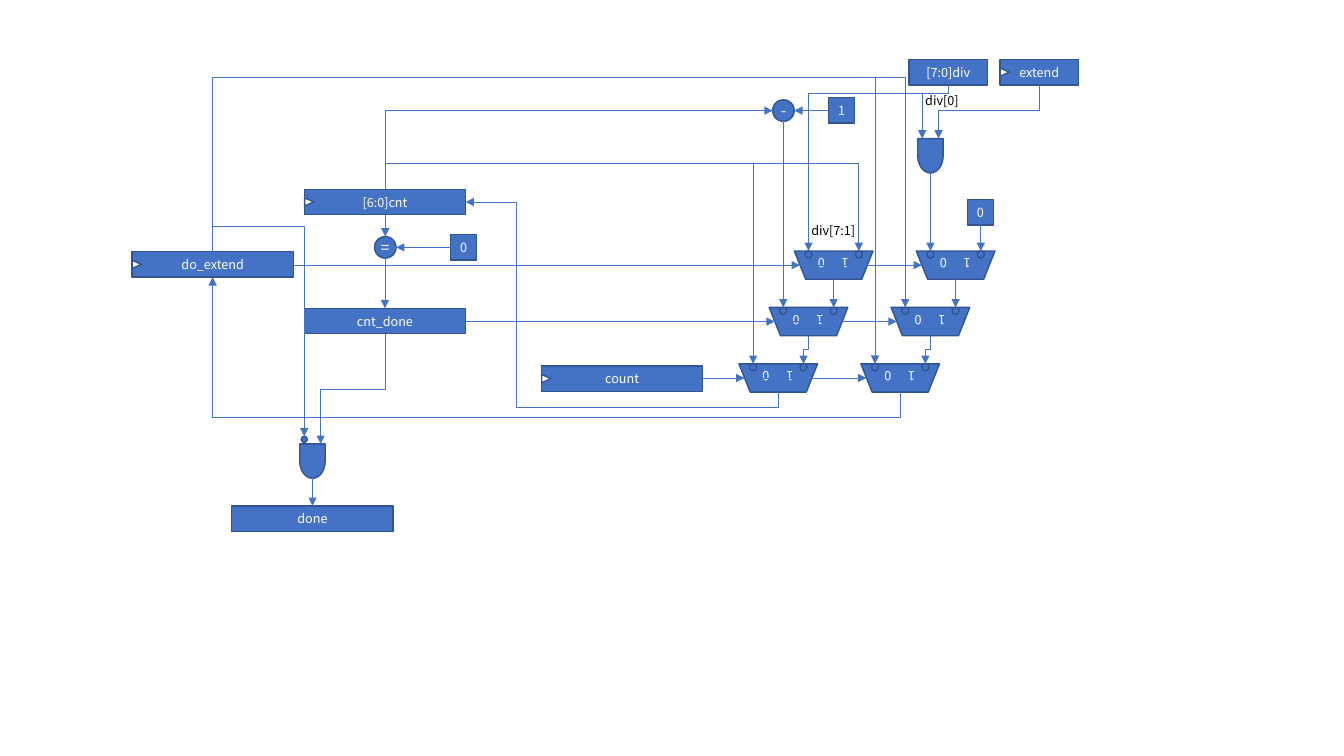
from dataclasses import dataclass

from lxml.etree import SubElement
from pptx import Presentation
from pptx.dml.color import RGBColor
from pptx.enum.shapes import MSO_CONNECTOR as Connector, MSO_SHAPE as Shape
from pptx.enum.text import MSO_ANCHOR as Anchor, PP_ALIGN as Align
from pptx.oxml.ns import qn
from pptx.util import Pt

FONT = "Noto Sans CJK KR"
BLUE, EDGE, WHITE, BLACK = "4472C4", "325491", "FFFFFF", "000000"
REGISTER_WIDTH, INPUT_WIDTH, HEIGHT = 115.2, 56.2, 18.2
MUX_WIDTH, MUX_HEIGHT = 56.2, 20.2
PORT_OFFSETS = (10.1, 46.1)


@dataclass
class Part:
    x: float
    y: float
    width: float
    height: float

    @property
    def top(self):
        return self.x + self.width / 2, self.y

    @property
    def bottom(self):
        return self.x + self.width / 2, self.y + self.height

    @property
    def left(self):
        return self.x, self.y + self.height / 2

    @property
    def right(self):
        return self.x + self.width, self.y + self.height / 2

    @property
    def select(self):
        return self.x + 4, self.y + self.height / 2

    def port(self, index):
        return self.x + PORT_OFFSETS[index], self.y


def paint(color_format, color):
    color_format.rgb = RGBColor.from_string(color)


def add_text(shape, text, size=9, color=WHITE, align=Align.CENTER, inset=0):
    frame = shape.text_frame
    frame.word_wrap = True
    frame.vertical_anchor = Anchor.MIDDLE
    frame.margin_top = frame.margin_bottom = frame.margin_right = 0
    frame.margin_left = Pt(inset)
    paragraph = frame.paragraphs[0]
    paragraph.alignment = align
    run = paragraph.add_run()
    run.text = text
    run.font.name = FONT
    run.font.size = Pt(size)
    paint(run.font.color, color)
    return paragraph


def add_block(slide, kind, x, y, width, height, fill=BLUE, rotation=0):
    shape = slide.shapes.add_shape(kind, Pt(x), Pt(y), Pt(width), Pt(height))
    shape.shadow.inherit = False
    shape.fill.solid()
    paint(shape.fill.fore_color, fill)
    paint(shape.line.color, EDGE)
    shape.line.width = Pt(1)
    shape.rotation = rotation
    return shape


def register(slide, x, y, name, width=REGISTER_WIDTH, clocked=False):
    add_text(add_block(slide, Shape.RECTANGLE, x, y, width, HEIGHT), name)
    if clocked:
        add_block(slide, Shape.ISOSCELES_TRIANGLE, x + 0.5, y + 5.8, 5.8, 6.5, WHITE, 90)
    return Part(x, y, width, HEIGHT)


def constant(slide, x, y, digit):
    return register(slide, x, y, digit, 18.7)


def operator(slide, x, y, sign):
    add_text(add_block(slide, Shape.OVAL, x, y, 15.4, 15.4), sign, 11)
    return Part(x, y, 15.4, 15.4)


def and_gate(slide, x, y, inverted=False):
    width, height = 18.2, 24.6
    if inverted:
        add_block(slide, Shape.OVAL, x + 1.1, y - 5.4, 4.3, 4.3)
    add_block(slide, Shape.FLOWCHART_DELAY, x + (width - height) / 2,
              y + (height - width) / 2, height, width, rotation=90)
    return Part(x, y, width, height)


def mux(slide, x, y):
    shape = add_block(slide, Shape.TRAPEZOID, x, y, MUX_WIDTH, MUX_HEIGHT, rotation=180)
    shape.adjustments[0] = 0.4
    paragraph = add_text(shape, "1\t0", align=Align.LEFT, inset=12)
    tabs = SubElement(paragraph._p.get_or_add_pPr(), qn("a:tabLst"))
    SubElement(tabs, qn("a:tab"), pos=str(Pt(17)), algn="l")
    for offset in PORT_OFFSETS:
        add_block(slide, Shape.OVAL, x + offset - 2.5, y, 5, 5)
    return Part(x, y, MUX_WIDTH, MUX_HEIGHT)


def mux_column(slide, x, y):
    return [mux(slide, x + shift, y + row * 40.3)
            for row, shift in enumerate((39.6, 21.6, 0))]


def label(slide, x, y, text):
    box = slide.shapes.add_textbox(Pt(x), Pt(y), Pt(56.2), Pt(18))
    add_text(box, text, color=BLACK, align=Align.LEFT, inset=7.2)


def wire(slide, start, end, bend=None, return_x=None):
    (x1, y1), (x2, y2) = start, end
    dx, dy = x2 - x1, y2 - y1
    if bend is None:
        x1, y1 = (x2, y1) if abs(dx) < abs(dy) else (x1, y2)
        connector = slide.shapes.add_connector(
            Connector.STRAIGHT, Pt(x1), Pt(y1), Pt(x2), Pt(y2))
    else:
        middle_x, middle_y = (x1 + x2) / 2, (y1 + y2) / 2
        turn = -1 if dx > 0 and dy > 0 else 1
        half_u, half_v = turn * dy / 2, turn * dx / 2
        connector = slide.shapes.add_connector(
            Connector.ELBOW, Pt(middle_x - half_u), Pt(middle_y + half_v),
            Pt(middle_x + half_u), Pt(middle_y - half_v))
        properties = connector._element.spPr
        properties.find(qn("a:xfrm")).set("rot", str(turn * 5400000 % 21600000))
        geometry = properties.find(qn("a:prstGeom"))
        ratios = [] if bend == y2 else [(bend - y1) / dy]
        if return_x is not None:
            ratios.append((return_x - x1) / dx)
        geometry.set("prst", f"bentConnector{len(ratios) + 2}")
        for number, ratio in enumerate(ratios, 1):
            SubElement(geometry.find(qn("a:avLst")), qn("a:gd"),
                       name=f"adj{number}", fmla=f"val {round(ratio * 100000)}")
    paint(connector.line.color, BLUE)
    connector.line.width = Pt(0.5)
    SubElement(connector.line._get_or_add_ln(), qn("a:tailEnd"), type="triangle")
    SubElement(connector._element.spPr, qn("a:effectLst"))


def state_region(slide, x, y):
    do_extend = register(slide, x, y + 44.6, "do_extend", clocked=True)
    cnt = register(slide, x + 123.1, y, "[6:0]cnt", clocked=True)
    cnt_done = register(slide, x + 123.1, y + 85, "cnt_done")
    equals = operator(slide, x + 173.2, y + 33.8, "=")
    zero = constant(slide, x + 227.5, y + 32.4, "0")
    wire(slide, cnt.bottom, equals.top)
    wire(slide, zero.left, equals.right)
    wire(slide, equals.bottom, cnt_done.top)
    return do_extend, cnt, cnt_done


def done_region(slide, x, y, do_extend, cnt_done):
    gate = and_gate(slide, x + 48.5, y - 44.3, inverted=True)
    done = register(slide, x, y, "done")
    wire(slide, do_extend.top, (gate.x + 3.2, gate.y - 5.4), 162)
    wire(slide, cnt_done.bottom, (gate.x + 14.9, gate.y), 278)
    wire(slide, gate.bottom, done.top)


def cascade(slide, column):
    first, second, third = column
    wire(slide, first.bottom, second.port(1))
    wire(slide, second.bottom, third.port(1), 249.8)


def counter_region(slide, x, y, cnt):
    column = mux_column(slide, x, y)
    minus = operator(slide, x + 24.1, y - 108, "-")
    one = constant(slide, x + 64, y - 109.5, "1")
    label(slide, x + 44.6, y - 23.8, "div[7:1]")
    cascade(slide, column)
    wire(slide, cnt.top, minus.left, minus.left[1])
    wire(slide, one.left, minus.right)
    wire(slide, minus.bottom, column[1].port(0))
    for target in (column[2].port(0), column[0].port(1)):
        wire(slide, cnt.top, target, 117)
    wire(slide, column[2].bottom, cnt.right, 290.9, 368.6)
    return column


def extend_region(slide, x, y, do_extend, counter_column):
    column = mux_column(slide, x, y)
    gate = and_gate(slide, x + 40.6, y - 80.3)
    zero = constant(slide, x + 76.1, y - 36.7, "0")
    div = register(slide, x + 34.3, y - 136.8, "[7:0]div", INPUT_WIDTH)
    extend = register(slide, x + 99.3, y - 136.8, "extend", INPUT_WIDTH, True)
    label(slide, x + 38.9, y - 116.6, "div[0]")
    cascade(slide, column)
    wire(slide, div.bottom, (gate.x + 3.2, gate.y), 67)
    wire(slide, extend.bottom, (gate.x + 14.9, gate.y), 79.2)
    wire(slide, div.bottom, counter_column[0].port(0), 67)
    wire(slide, gate.bottom, column[0].port(0))
    wire(slide, zero.bottom, column[0].port(1))
    for target in column[1:]:
        wire(slide, do_extend.top, target.port(0), 55.4)
    wire(slide, column[2].bottom, do_extend.bottom, 298.1)
    return column


presentation = Presentation()
presentation.slide_width, presentation.slide_height = Pt(960), Pt(540)
slide = presentation.slides.add_slide(presentation.slide_layouts[6])

do_extend, cnt, cnt_done = state_region(slide, 94.3, 135.2)
count = register(slide, 386.8, 261.4, "count", clocked=True)
done_region(slide, 165.6, 361.4, do_extend, cnt_done)
counter_column = counter_region(slide, 527.8, 179.3, cnt)
extend_column = extend_region(slide, 614.9, 179.3, do_extend, counter_column)
for column in (counter_column, extend_column):
    for source, target in zip((do_extend, cnt_done, count), column):
        wire(slide, source.right, target.select)

presentation.save("out.pptx")
